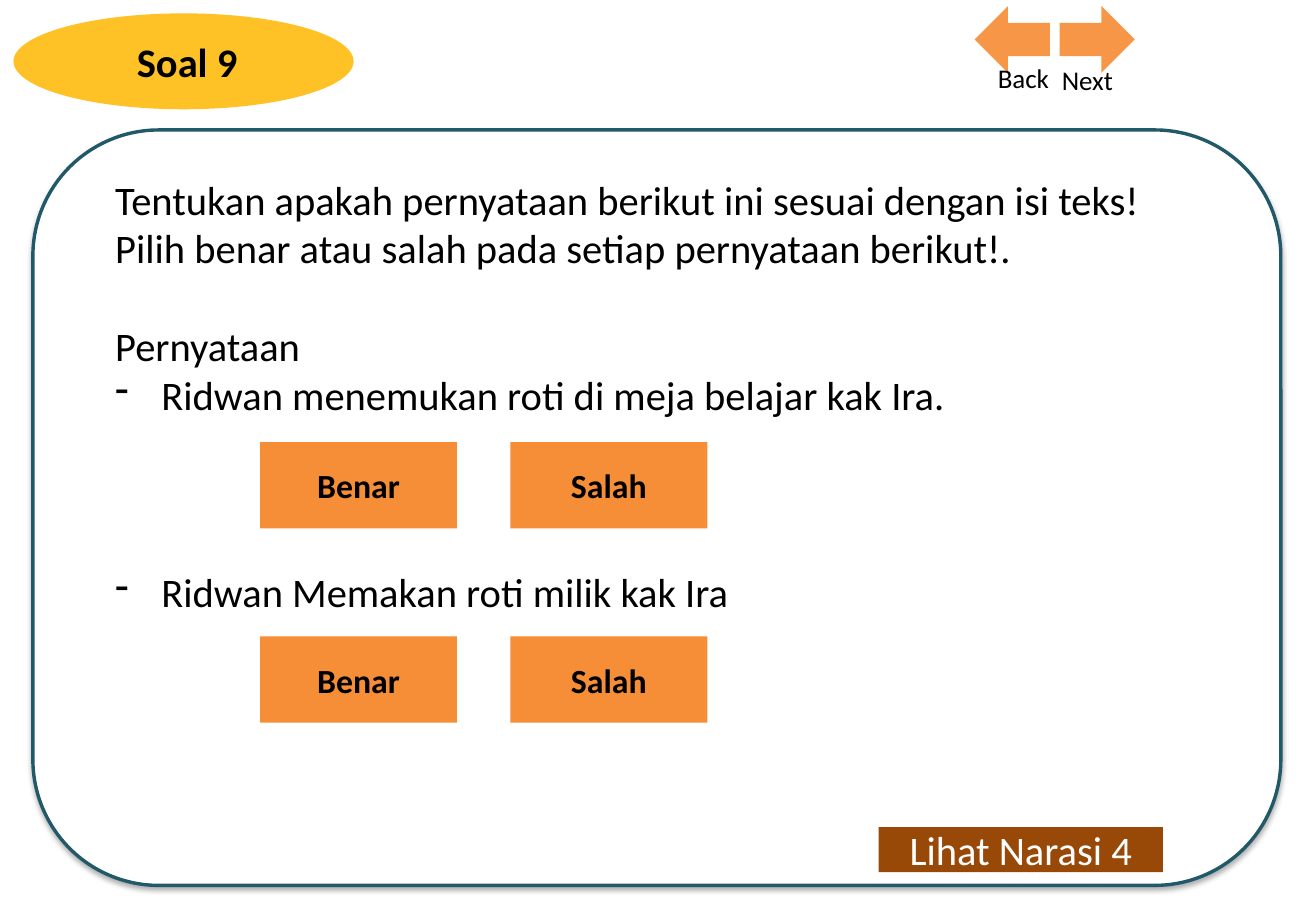
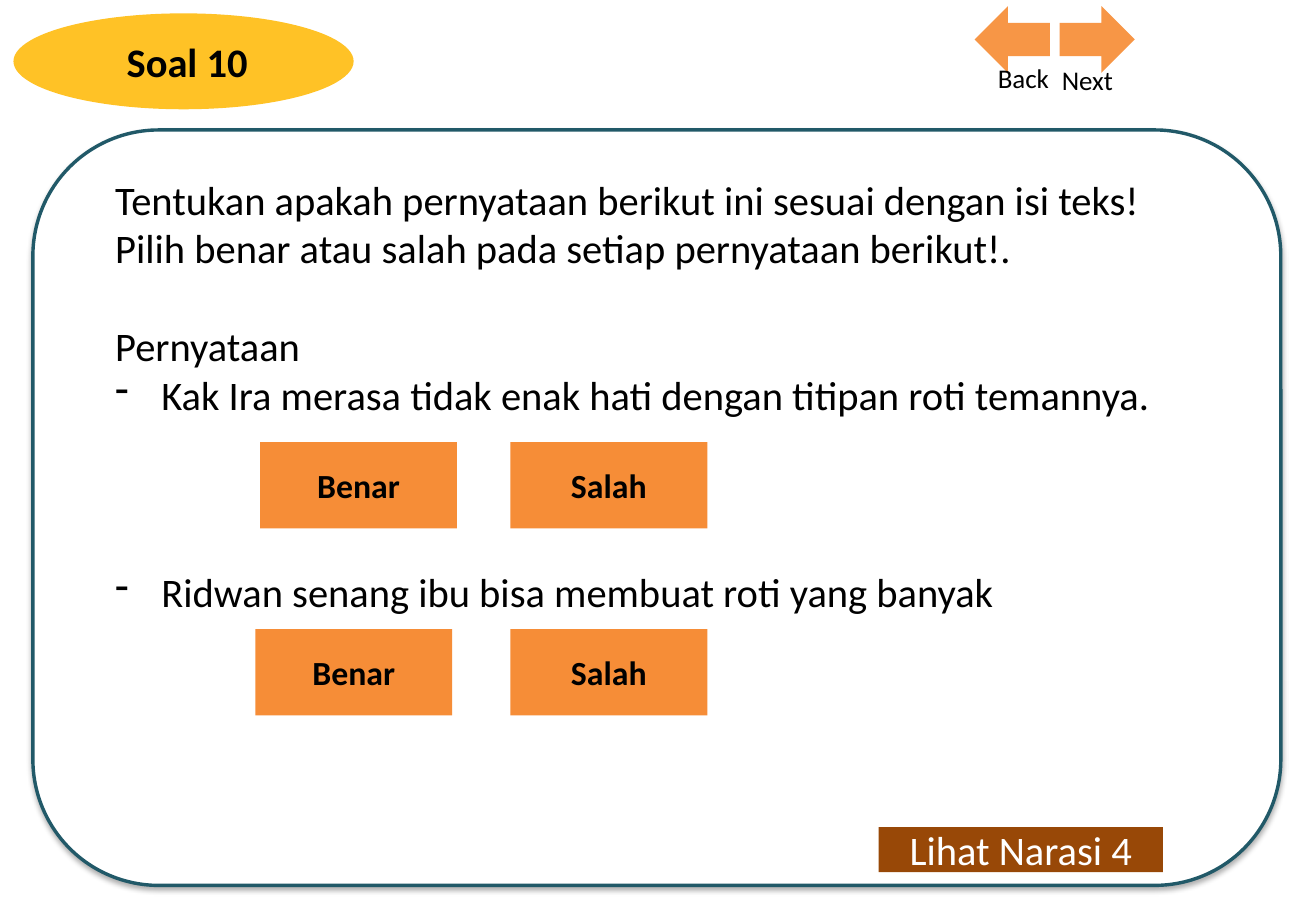
from lxml.etree import SubElement
from pptx import Presentation
from pptx.dml.color import RGBColor
from pptx.enum.shapes import MSO_SHAPE
from pptx.enum.text import MSO_ANCHOR, PP_ALIGN
from pptx.oxml.ns import qn
from pptx.util import Inches, Pt

WIDTH, HEIGHT = 10.83, 7.5
COL, ROW = WIDTH / 100, HEIGHT / 100
FONT = "Calibri"
LINE = 29.3
BLACK = RGBColor(0x00, 0x00, 0x00)
WHITE = RGBColor(0xFF, 0xFF, 0xFF)
GOLD = RGBColor(0xFF, 0xC2, 0x26)
TEAL = RGBColor(0x21, 0x59, 0x68)
ORANGE = RGBColor(0xF6, 0x8D, 0x37)
ARROW = RGBColor(0xF7, 0x96, 0x46)
BROWN = RGBColor(0x98, 0x48, 0x07)

BADGE = (1.02, 1.47, 25.85, 10.53)
NAV = (74.05, 0.67, 12.19, 11)
PANEL = (2.5, 14.27, 94.83, 82.93)
PROMPT = (
    "Tentukan apakah pernyataan berikut ini sesuai dengan isi teks!",
    "Pilih benar atau salah pada setiap pernyataan berikut!.",
)
QUESTIONS = (
    ("Soal 9",
     ("Ridwan menemukan roti di meja belajar kak Ira.",
      "Ridwan Memakan roti milik kak Ira"),
     ((17.27, 34.27), (17.27, 55.6))),
    ("Soal 10",
     ("Kak Ira merasa tidak enak hati dengan titipan roti temannya.",
      "Ridwan senang ibu bisa membuat roti yang banyak"),
     ((17.27, 34.27), (16.9, 54.8))),
)


def within(box, x, y, w, h):
    """Return a grid box offset from the corner of another box."""
    return box[0] + x, box[1] + y, w, h


def lengths(box):
    """Convert a grid box of columns and rows to slide lengths."""
    return [Inches(n * unit) for n, unit in zip(box, (COL, ROW, COL, ROW))]


def add_text(tf, text, size=24, color=BLACK, bold=False, align=PP_ALIGN.LEFT,
             before=0, dash=False, first=True):
    """Write one formatted paragraph into a text frame."""
    p = tf.paragraphs[0] if first else tf.add_paragraph()
    p.alignment = align
    if before:
        p.space_before = Pt(before)
    if dash:
        pPr = p._p.get_or_add_pPr()
        pPr.set("marL", str(Inches(0.38)))
        pPr.set("indent", str(-Inches(0.38)))
        SubElement(pPr, qn("a:buFontTx"))
        SubElement(pPr, qn("a:buChar"), char="-")
    r = p.add_run()
    r.text = text
    r.font.name, r.font.size, r.font.bold = FONT, Pt(size), bold
    r.font.color.rgb = color


def add_box(s, kind, box, fill, text="", **style):
    """Add a flat filled shape with optional centred text."""
    sp = s.shapes.add_shape(kind, *lengths(box))
    sp.shadow.inherit = False
    sp.fill.solid()
    sp.fill.fore_color.rgb = fill
    sp.line.fill.background()
    if text:
        sp.text_frame.vertical_anchor = MSO_ANCHOR.MIDDLE
        add_text(sp.text_frame, text, align=PP_ALIGN.CENTER, **style)
    return sp


def add_frame(s, box):
    """Add a wrapping text box and return its text frame."""
    tf = s.shapes.add_textbox(*lengths(box)).text_frame
    tf.word_wrap = True
    return tf


def add_shadow(sp):
    """Give a shape a soft shadow below it."""
    effects = sp._element.spPr.find(qn("a:effectLst"))
    shadow = SubElement(effects, qn("a:outerShdw"), blurRad=str(Pt(3.5)),
                        dist=str(Pt(2.2)), dir="5400000", rotWithShape="0")
    color = SubElement(shadow, qn("a:srgbClr"), val=str(BLACK))
    SubElement(color, qn("a:alpha"), val="32000")


def add_badge(s, box, title):
    """Add the oval question number."""
    sp = add_box(s, MSO_SHAPE.OVAL, box, GOLD, title, bold=True)
    sp.text_frame.margin_left, sp.text_frame.margin_right = Inches(0.06), 0


def add_nav(s, box):
    """Add the back and next arrows with their labels."""
    labels = (("Back", 180, PP_ALIGN.RIGHT, 5.47), ("Next", 0, PP_ALIGN.LEFT, 5.6))
    for i, (label, angle, align, y) in enumerate(labels):
        arrow = within(box, 6.46 * i, 0, 5.72, 7.33)
        add_box(s, MSO_SHAPE.RIGHT_ARROW, arrow, ARROW).rotation = angle
        tf = add_frame(s, within(box, -6.37 + 12.1 * i, y, 12.93, 4.93))
        add_text(tf, label, size=16, align=align)


def add_panel(s, box, statements, rows):
    """Add the framed prompt, statements, answer buttons and story link."""
    sp = add_box(s, MSO_SHAPE.ROUNDED_RECTANGLE, box, WHITE)
    sp.line.color.rgb, sp.line.width = TEAL, Pt(2)
    add_shadow(sp)
    tf = add_frame(s, within(box, 5.35, 4.27, 87.26, 49.87))
    for i, text in enumerate(PROMPT):
        add_text(tf, text, first=i == 0)
    add_text(tf, "Pernyataan", before=LINE, first=False)
    for i, text in enumerate(statements):
        add_text(tf, text, before=3 * LINE * i, dash=True, first=False)
    for x, y in rows:
        for left, answer in ((x, "Benar"), (36.29, "Salah")):
            add_box(s, MSO_SHAPE.RECTANGLE, within(box, left, y, 14.96, 9.47),
                    ORANGE, answer, size=20, bold=True)
    add_box(s, MSO_SHAPE.RECTANGLE, within(box, 64.27, 76.53, 21.6, 4.93),
            BROWN, "Lihat Narasi 4", color=WHITE)


def main():
    """Build and save the question slides."""
    prs = Presentation()
    prs.slide_width, prs.slide_height = Inches(WIDTH), Inches(HEIGHT)
    for title, statements, rows in QUESTIONS:
        s = prs.slides.add_slide(prs.slide_layouts[6])
        add_badge(s, BADGE, title)
        add_panel(s, PANEL, statements, rows)
        add_nav(s, NAV)
    prs.save("out.pptx")


if __name__ == "__main__":
    main()
